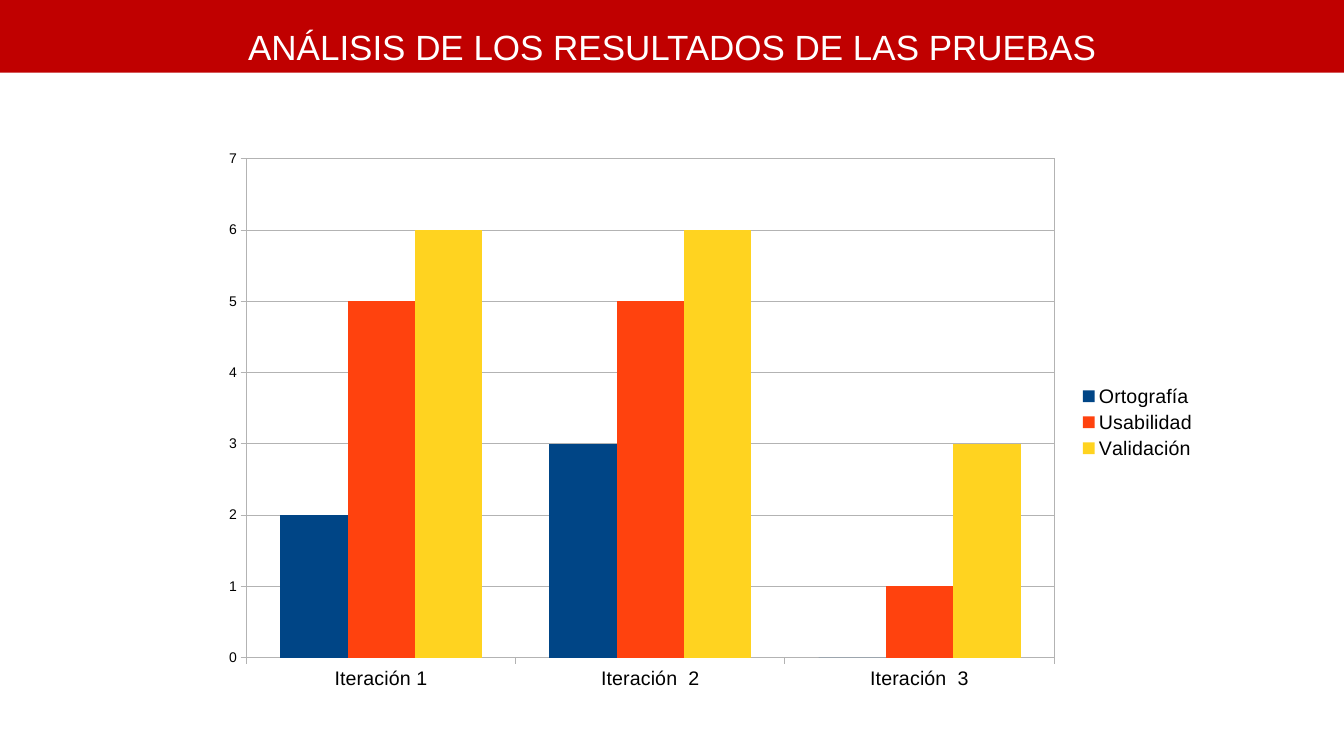
from dataclasses import dataclass

from lxml import etree
from pptx import Presentation
from pptx.chart.data import CategoryChartData
from pptx.dml.color import RGBColor
from pptx.enum.chart import XL_CHART_TYPE, XL_LEGEND_POSITION, XL_TICK_MARK
from pptx.enum.shapes import MSO_SHAPE
from pptx.enum.text import MSO_ANCHOR, MSO_AUTO_SIZE, PP_ALIGN
from pptx.oxml import parse_xml
from pptx.oxml.ns import nsdecls, qn
from pptx.util import Inches, Pt


@dataclass(frozen=True)
class Theme:
    font: str = "Arial"
    banner: str = "C00000"
    banner_text: str = "FFFFFF"
    text: str = "000000"
    grid: str = "B3B3B3"
    title_size: int = 25
    label_size: int = 14
    value_size: int = 10


theme = Theme()


def style_font(font, size, color):
    font.name = theme.font
    font.size = Pt(size)
    font.color.rgb = RGBColor.from_string(color)


def style_line(line):
    line.color.rgb = RGBColor.from_string(theme.grid)
    line.width = Pt(0)


prs = Presentation()
prs.slide_width = Inches(13.33)
prs.slide_height = Inches(7.5)
slide = prs.slides.add_slide(prs.slide_layouts[6])

# Title banner
banner = slide.shapes.add_shape(
    MSO_SHAPE.RECTANGLE, 0, 0, prs.slide_width, Inches(0.72))
banner.shadow.inherit = False
banner.fill.solid()
banner.fill.fore_color.rgb = RGBColor.from_string(theme.banner)
banner.line.fill.background()
banner.text_frame.word_wrap = True
banner.text_frame.auto_size = MSO_AUTO_SIZE.SHAPE_TO_FIT_TEXT
banner.text_frame.vertical_anchor = MSO_ANCHOR.MIDDLE
title = banner.text_frame.paragraphs[0]
title.text = "ANÁLISIS DE LOS RESULTADOS DE LAS PRUEBAS"
title.alignment = PP_ALIGN.CENTER
title.line_spacing = 1.5
title.space_after = Pt(6)
style_font(title.font, theme.title_size, theme.banner_text)

# Test results by iteration
test_results = [
    ("Ortografía", (2, 3, 0), "004586"),
    ("Usabilidad", (5, 5, 1), "FF420E"),
    ("Validación", (6, 6, 3), "FFD320"),
]
results_data = CategoryChartData()
results_data.categories = ["Iteración 1", "Iteración  2", "Iteración  3"]
for test, counts, _ in test_results:
    results_data.add_series(test, counts)
chart = slide.shapes.add_chart(
    XL_CHART_TYPE.COLUMN_CLUSTERED, Inches(2.08), Inches(1.41),
    Inches(9.89), Inches(5.56), results_data).chart
chart.has_title = False
style_font(chart.font, theme.value_size, theme.text)

columns = chart.plots[0]
columns.gap_width = 100
columns.overlap = 0
columns.vary_by_categories = False
for series, (_, _, color) in zip(columns.series, test_results):
    series.format.fill.solid()
    series.format.fill.fore_color.rgb = RGBColor.from_string(color)
    series.format.line.fill.background()

for axis, size in ((chart.category_axis, theme.label_size),
                   (chart.value_axis, theme.value_size)):
    axis.major_tick_mark = XL_TICK_MARK.OUTSIDE
    axis.minor_tick_mark = XL_TICK_MARK.NONE
    style_font(axis.tick_labels.font, size, theme.text)
    style_line(axis.format.line)
counts_axis = chart.value_axis
counts_axis.minimum_scale = 0
counts_axis.maximum_scale = 7
counts_axis.major_unit = 1
counts_axis.has_major_gridlines = True
style_line(counts_axis.major_gridlines.format.line)

chart.has_legend = True
chart.legend.position = XL_LEGEND_POSITION.RIGHT
chart.legend.include_in_layout = False
style_font(chart.legend.font, theme.label_size, theme.text)

# Fixed plot area with a thin frame
plot_area = columns._element.getparent()
for old_layout in plot_area.findall(qn("c:layout")):
    plot_area.remove(old_layout)
layout = parse_xml(f'<c:layout {nsdecls("c")}><c:manualLayout/></c:layout>')
for tag, value in (("layoutTarget", "inner"), ("xMode", "edge"),
                   ("yMode", "edge"), ("x", "0.037"), ("y", "0.03"),
                   ("w", "0.81"), ("h", "0.89")):
    etree.SubElement(layout[0], qn(f"c:{tag}")).set("val", value)
plot_area.insert(0, layout)
plot_area.append(parse_xml(
    f'<c:spPr {nsdecls("c", "a")}><a:noFill/><a:ln w="0"><a:solidFill>'
    f'<a:srgbClr val="{theme.grid}"/></a:solidFill></a:ln></c:spPr>'))

prs.save("out.pptx")
